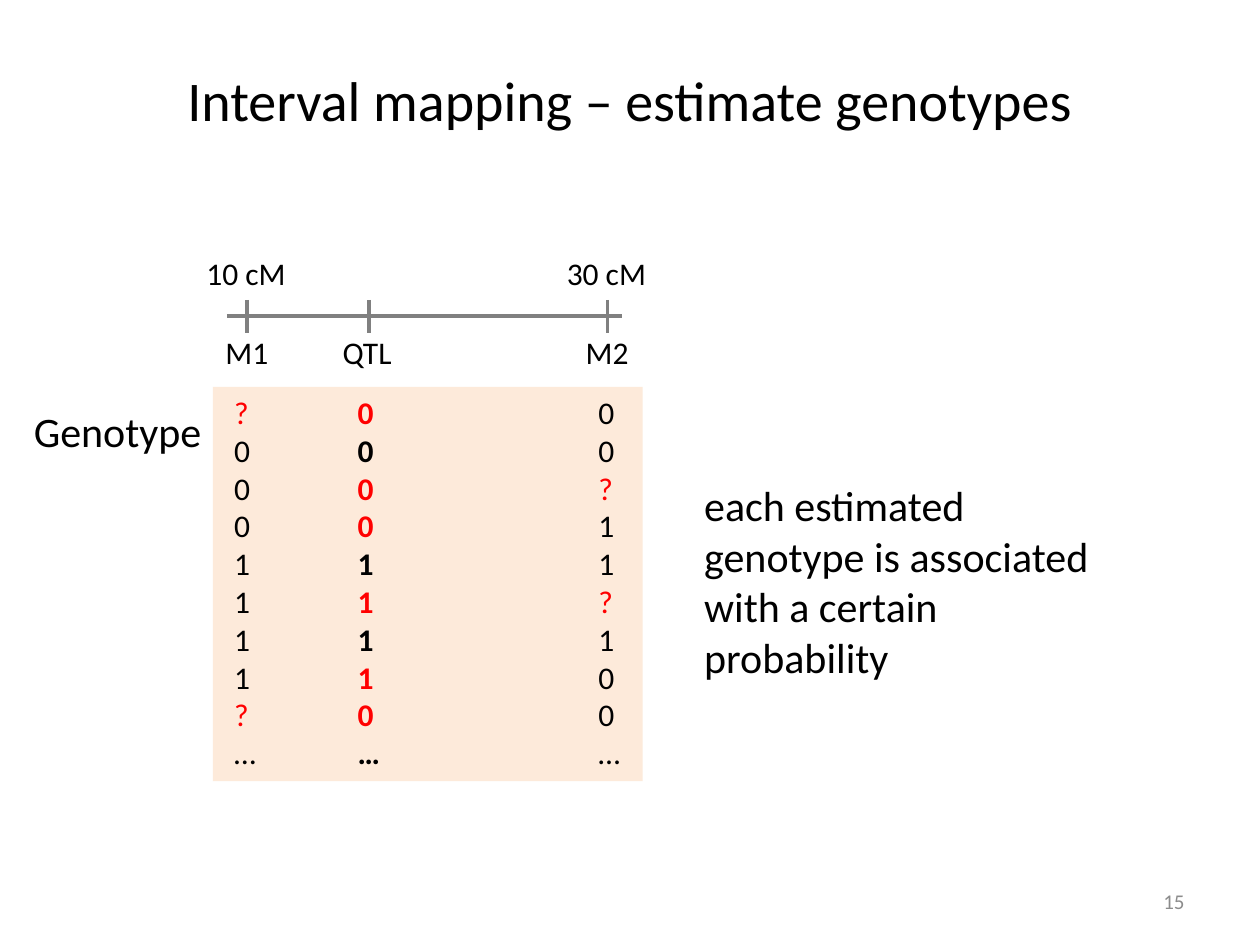
from lxml.etree import SubElement
from pptx import Presentation
from pptx.dml.color import RGBColor
from pptx.enum.shapes import MSO_CONNECTOR as CONN, MSO_SHAPE as SHAPE
from pptx.enum.text import MSO_ANCHOR as ANCHOR, MSO_AUTO_SIZE as FIT, PP_ALIGN as ALIGN
from pptx.oxml.ns import qn
from pptx.util import Inches, Pt

BLACK, RED, GRAY = "000000", "FF0000", "808080"


def rgb(color):
    return RGBColor.from_string(color)


def add_text(box, lines, size, bold=False, wrap=False, align=ALIGN.LEFT,
             anchor=ANCHOR.TOP, fit=FIT.SHAPE_TO_FIT_TEXT):
    """Add a text box with one paragraph per (text, color) pair."""
    tf = s.shapes.add_textbox(*map(Inches, box)).text_frame
    tf.word_wrap, tf.vertical_anchor, tf.auto_size = wrap, anchor, fit
    for i, (text, color) in enumerate(lines):
        p = tf.add_paragraph() if i else tf.paragraphs[0]
        p.alignment = align
        r = p.add_run()
        r.text = text
        r.font.name, r.font.size, r.font.bold = "Calibri", Pt(size), bold
        r.font.color.rgb = rgb(color)


prs = Presentation()
prs.slide_width, prs.slide_height = Inches(10), Inches(7.5)
s = prs.slides.add_slide(prs.slide_layouts[6])

# Genotype panel
sp = s.shapes.add_shape(SHAPE.RECTANGLE, Inches(1.69), Inches(3.07), Inches(3.41), Inches(3.13))
sp.shadow.inherit = False
sp.fill.solid()
sp.fill.fore_color.rgb = rgb("FDEADA")
sp.line.fill.background()

add_text((0.5, 0.3, 9, 0.98), [("Interval mapping – estimate genotypes", BLACK)], 32,
         wrap=True, align=ALIGN.CENTER, anchor=ANCHOR.MIDDLE, fit=FIT.NONE)

# Genetic map: axis, then one tick per locus
ticks = [(x, 2.38, x, 2.64) for x in (1.96, 2.93, 4.82)]
for ends in [(1.8, 2.51, 4.94, 2.51)] + ticks:
    line = s.shapes.add_connector(CONN.STRAIGHT, *map(Inches, ends))
    line.line.color.rgb = rgb(GRAY)
    line.line.width = Pt(2)
    SubElement(line._element.spPr, qn("a:effectLst"))

for text, x, y, w in [("M1", 1.69, 2.59, 0.55), ("M2", 4.55, 2.59, 0.55),
                      ("QTL", 2.62, 2.59, 0.61),
                      ("10 cM", 1.54, 1.97, 0.84), ("30 cM", 4.4, 1.97, 0.84)]:
    add_text((x, y, w, 0.4), [(text, BLACK)], 18)

# Genotypes per locus, with the rows that are unknown or estimated in red
for x, genotypes, red_rows, bold in [(1.76, "?0001111?…", {0, 8}, False),
                                     (4.65, "00?11?100…", {2, 5}, False),
                                     (2.74, "000011110…", {0, 2, 3, 5, 7, 8}, True)]:
    lines = [(g, RED if i in red_rows else BLACK) for i, g in enumerate(genotypes)]
    add_text((x, 3.07, 0.38, 3.13), lines, 18, bold=bold)

add_text((0.17, 3.17, 1.55, 0.5), [("Genotype", BLACK)], 24)
add_text((5.49, 3.76, 3.48, 1.72),
         [("each estimated genotype is associated with a certain probability", BLACK)],
         24, wrap=True)
add_text((7.17, 6.95, 2.33, 0.4), [("15", "8C8C8C")], 12, wrap=True,
         align=ALIGN.RIGHT, anchor=ANCHOR.MIDDLE, fit=FIT.NONE)

prs.save("out.pptx")
